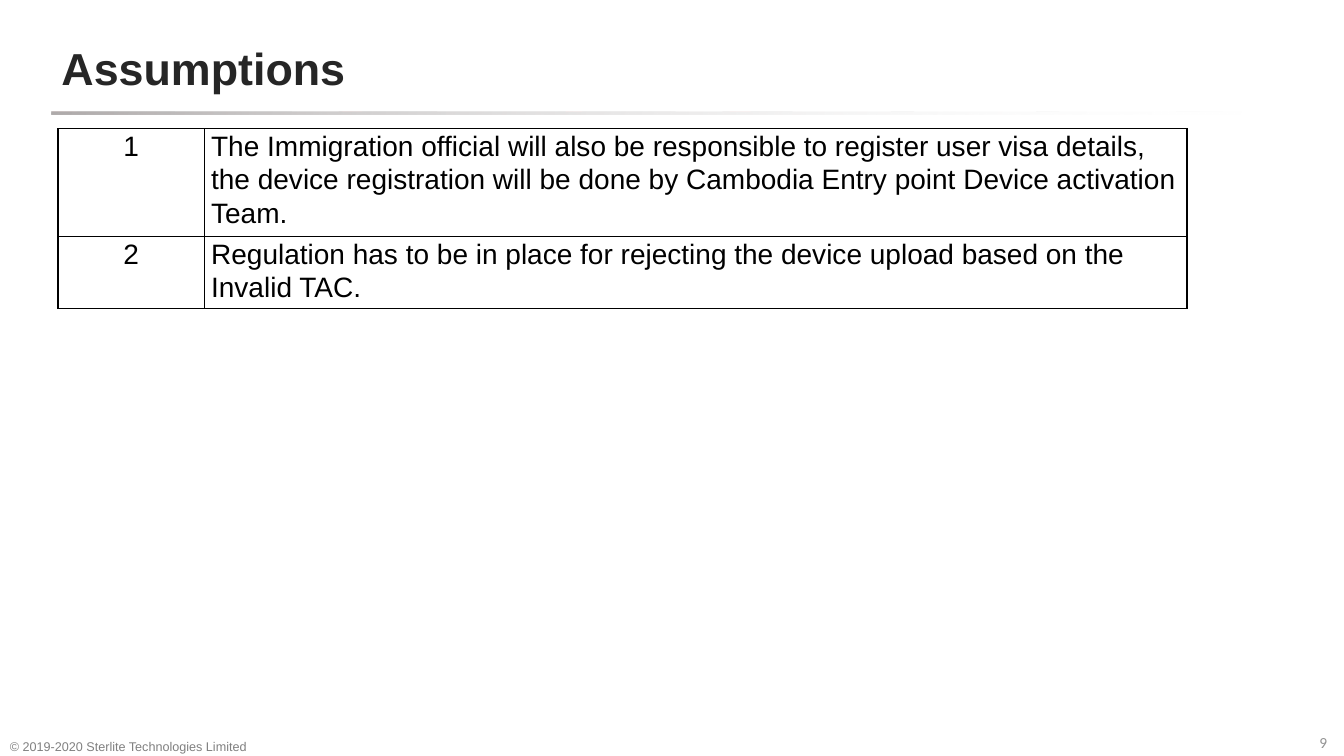
from dataclasses import dataclass

from lxml import etree
from pptx import Presentation
from pptx.dml.color import RGBColor
from pptx.enum import shapes, text
from pptx.oxml import ns
from pptx.util import Pt

BLACK = RGBColor(0x00, 0x00, 0x00)
DARK = RGBColor(0x26, 0x26, 0x26)
GRAY = RGBColor(0x80, 0x80, 0x80)
PALE = RGBColor(0x92, 0x92, 0x92)
RULE = RGBColor(0xAF, 0xAB, 0xAB)
WHITE = RGBColor(0xFF, 0xFF, 0xFF)


@dataclass
class Box:
    left: float
    top: float
    width: float
    height: float

    def pts(self) -> tuple:
        return Pt(self.left), Pt(self.top), Pt(self.width), Pt(self.height)


@dataclass
class Note:
    words: str
    box: Box
    font: str
    size: float
    color: RGBColor
    inset: tuple
    wrap: bool
    anchor: text.MSO_ANCHOR


@dataclass
class Row:
    words: str
    height: float


NOTES = [
    Note("9", Box(938.9, 519.8, 19.4, 18), "Calibri", 11, PALE,
         (3.6, 3.6), False, text.MSO_ANCHOR.TOP),
    Note("© 2019-2020 Sterlite Technologies Limited",
         Box(0, 519.8, 218.2, 22.3), "Arial", 9, GRAY,
         (7.2, 3.6), True, text.MSO_ANCHOR.BOTTOM),
]
ROWS = [
    Row("The Immigration official will also be responsible to register user "
        "visa details, the device registration will be done by Cambodia Entry "
        "point Device activation Team.", 72),
    Row("Regulation has to be in place for rejecting the device upload based "
        "on the Invalid TAC.", 47.5),
]
COLS = (104.4, 702)


def style(par, font: str, size: float, color: RGBColor) -> None:
    par.font.name = font
    par.font.size = Pt(size)
    par.font.color.rgb = color


def add_title(slide, words: str) -> None:
    title = slide.shapes.title
    title.left, title.top, title.width, title.height = Box(
        36.7, 16.6, 714.2, 63.4).pts()
    frame = title.text_frame
    frame.text = words
    frame.vertical_anchor = text.MSO_ANCHOR.MIDDLE
    par = frame.paragraphs[0]
    par.alignment = text.PP_ALIGN.LEFT
    style(par, "Arial", 32, DARK)
    par.font.bold = True


def add_rule(slide) -> None:
    bar = slide.shapes.add_shape(
        shapes.MSO_SHAPE.ROUNDED_RECTANGLE, *Box(36.7, 79.9, 886.3, 1.7).pts())
    bar.adjustments[0] = 0.5
    bar.shadow.inherit = False
    bar.line.fill.background()
    bar.fill.gradient()
    bar.fill.gradient_angle = 341
    start, end = bar.fill.gradient_stops
    start.position, start.color.rgb = 0, RULE
    end.position, end.color.rgb = 0.96, WHITE
    # Fade the far end out completely
    tint = bar._element.spPr.findall(".//" + ns.qn("a:srgbClr"))[-1]
    etree.SubElement(tint, ns.qn("a:alpha"), val="0")


def add_note(slide, note: Note) -> None:
    frame = slide.shapes.add_textbox(*note.box.pts()).text_frame
    frame.word_wrap = note.wrap
    frame.vertical_anchor = note.anchor
    side, edge = note.inset
    frame.margin_left = frame.margin_right = Pt(side)
    frame.margin_top = frame.margin_bottom = Pt(edge)
    frame.text = note.words
    style(frame.paragraphs[0], note.font, note.size, note.color)


def add_edges(cell) -> None:
    props = cell._tc.get_or_add_tcPr()
    for i, side in enumerate(("lnL", "lnR", "lnT", "lnB")):
        line = etree.Element(ns.qn("a:" + side), w=str(Pt(1)))
        fill = etree.SubElement(line, ns.qn("a:solidFill"))
        etree.SubElement(fill, ns.qn("a:srgbClr"), val=str(BLACK))
        props.insert(i, line)


def fill_cell(cell, words: str, align: text.PP_ALIGN) -> None:
    cell.fill.background()
    cell.margin_left = cell.margin_right = Pt(5)
    cell.margin_top = cell.margin_bottom = 0
    cell.text = words
    par = cell.text_frame.paragraphs[0]
    par.alignment = align
    par.line_spacing = 1.07
    style(par, "Arial", 20, BLACK)
    add_edges(cell)


def add_grid(slide) -> None:
    box = Box(41.4, 92, sum(COLS), sum(row.height for row in ROWS))
    grid = slide.shapes.add_table(len(ROWS), len(COLS), *box.pts()).table
    grid.first_row = grid.horz_banding = False
    for col, width in zip(grid.columns, COLS):
        col.width = Pt(width)
    for i, row in enumerate(ROWS):
        grid.rows[i].height = Pt(row.height)
        fill_cell(grid.cell(i, 0), str(i + 1), text.PP_ALIGN.CENTER)
        fill_cell(grid.cell(i, 1), row.words, text.PP_ALIGN.LEFT)


def main() -> None:
    deck = Presentation()
    deck.slide_width, deck.slide_height = Pt(960), Pt(540)
    slide = deck.slides.add_slide(deck.slide_layouts[5])

    # Heading
    add_rule(slide)
    add_title(slide, "Assumptions")

    # Page number and copyright
    for note in NOTES:
        add_note(slide, note)

    # Numbered assumptions
    add_grid(slide)
    deck.save("out.pptx")


if __name__ == "__main__":
    main()
